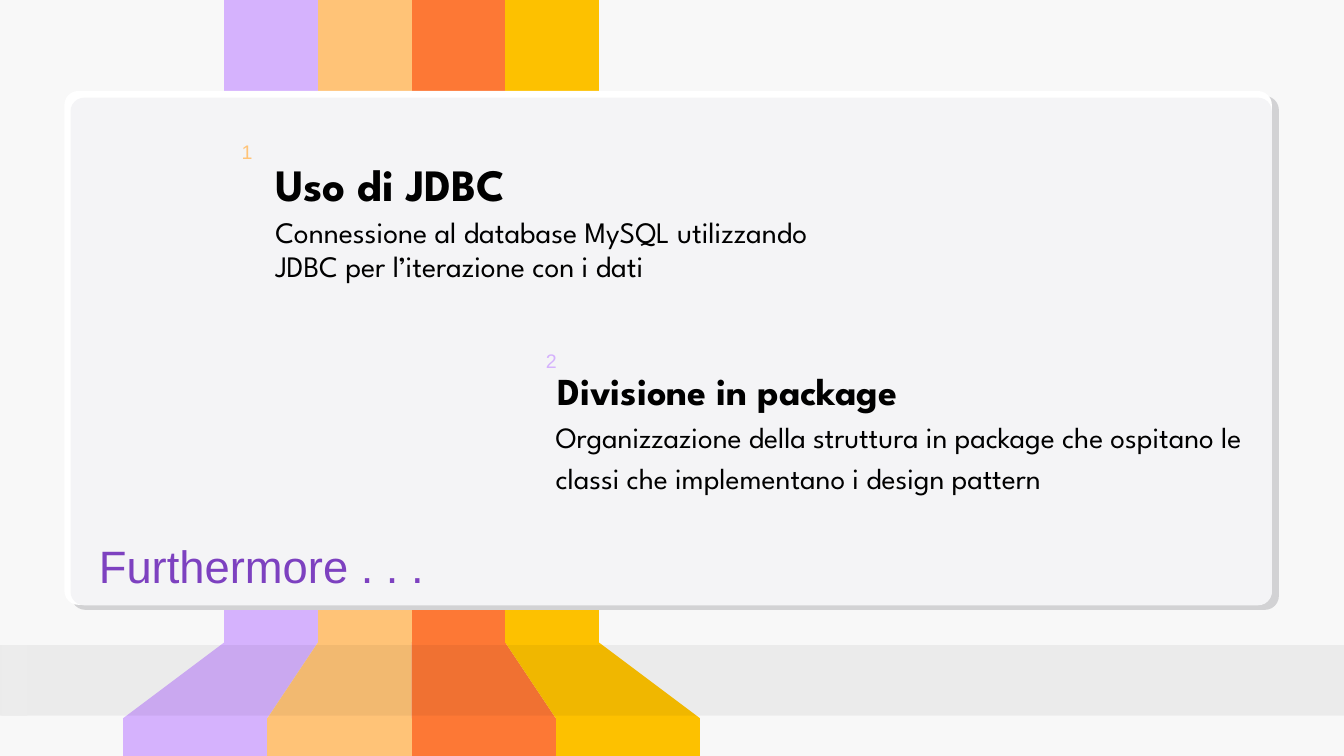
from dataclasses import dataclass
from itertools import pairwise

from lxml.etree import SubElement
from pptx import Presentation
from pptx.dml.color import RGBColor
from pptx.enum.shapes import MSO_SHAPE as Shape
from pptx.enum.text import MSO_ANCHOR as Anchor, MSO_AUTO_SIZE as Fit, PP_ALIGN as Align
from pptx.oxml.ns import qn
from pptx.util import Pt


@dataclass(frozen=True)
class Theme:
    back: str = "F8F8F8"
    ink: str = "000000"
    lilac: str = "D5B2FD"
    peach: str = "FFC377"
    orange: str = "FD7835"
    gold: str = "FDC100"
    shade: str = "D2D2D4"
    rim: str = "FFFFFF"
    card: str = "F4F4F6"
    patch: str = "ECECEC"
    violet: str = "7D41C0"
    plain: str = "Arial"
    spartan: str = "League Spartan"
    title: float = 32.4
    mark: float = 14


THEME = Theme()
WIDE, HIGH = 960, 540
PAD = 9.4


def paint(shape, color):
    shape.shadow.inherit = False
    shape.fill.solid()
    shape.fill.fore_color.rgb = RGBColor.from_string(color)
    shape.line.fill.background()


def block(slide, kind, box, color):
    shape = slide.shapes.add_shape(kind, *map(Pt, box))
    paint(shape, color)
    return shape


def write(shape, text, size, color, font, bold=False, align=Align.LEFT,
          pad=None, space=None, after=0):
    frame = shape.text_frame
    frame.word_wrap = True
    frame.auto_size = Fit.NONE
    if pad is not None:
        frame.margin_left = frame.margin_right = Pt(pad)
        frame.margin_top = frame.margin_bottom = Pt(pad)
    par = frame.paragraphs[0]
    par.alignment = align
    par.space_after = Pt(after)
    if space:
        par.line_spacing = space
    run = par.add_run()
    run.text = text
    run.font.size = Pt(size)
    run.font.name = font
    run.font.bold = bold
    run.font.color.rgb = RGBColor.from_string(color)


def ribbons(slide, box):
    """Draw four stripes that fan out near the foot of the box."""
    left, top, width, height = box
    strip, flare = 67, width / 4
    inset = (width - 4 * strip) / 2
    bend, foot = top + height - 81, top + height - 27
    for i, color in enumerate((THEME.lilac, THEME.peach, THEME.orange, THEME.gold)):
        slim = (left + inset + i * strip, strip)
        broad = (left + i * flare, flare)
        rows = [(top, slim), (bend, slim), (foot, broad), (top + height, broad)]
        for (y1, (x1, w1)), (y2, (x2, w2)) in pairwise(rows):
            if y1 == foot or y1 == top:
                x1, w1 = x2, w2
            path = slide.shapes.build_freeform(Pt(x1), Pt(y1))
            path.add_line_segments(
                [(Pt(x1 + w1), Pt(y1)), (Pt(x2 + w2), Pt(y2)), (Pt(x2), Pt(y2))])
            paint(path.convert_to_shape(), color)


def panel(slide, box):
    """Stack shade, rim and face of the raised card."""
    left, top, width, height = box
    for dx, dy, cut, color in ((5, 3.6, 0, THEME.shade), (0, 0, 0, THEME.rim),
                               (4.4, 4.8, 4.4, THEME.card)):
        face = block(slide, Shape.ROUNDED_RECTANGLE,
                     (left + dx, top + dy, width - cut, height - cut), color)
        face.adjustments[0] = 0.027


def floor(slide, box):
    left, top, width, height = box
    band = block(slide, Shape.RECTANGLE, box, THEME.ink)
    tint = band.fill._xPr.find(qn("a:solidFill"))[0]
    SubElement(tint, qn("a:alpha"), val="5000")
    block(slide, Shape.RECTANGLE, (left + 1, top, 18.5, height), THEME.patch)


def topic(slide, box, mark, head, text):
    """Place number, heading and text; each part is (words, shift, look)."""
    left, top = box
    for (dx, dy, width, height), words, look in (mark, head, text):
        area = slide.shapes.add_textbox(
            Pt(left + dx), Pt(top + dy), Pt(width), Pt(height))
        write(area, words, **look)


def heading(slide, box):
    title = slide.shapes.title
    title.left, title.top, title.width, title.height = map(Pt, box)
    title.text_frame.vertical_anchor = Anchor.MIDDLE
    write(title, "Furthermore . . .", THEME.title, THEME.violet, THEME.plain, pad=PAD)
    title.element.getparent().append(title.element)


def number(color):
    return dict(size=THEME.mark, color=color, font=THEME.plain, align=Align.CENTER)


def words(size, space, bold=False, after=0):
    return dict(size=size, color=THEME.ink, font=THEME.spartan, bold=bold,
                pad=PAD, space=space, after=after)


def main():
    deck = Presentation()
    deck.slide_width, deck.slide_height = Pt(WIDE), Pt(HIGH)
    slide = deck.slides.add_slide(deck.slide_layouts[5])
    slide.background.fill.solid()
    slide.background.fill.fore_color.rgb = RGBColor.from_string(THEME.back)

    ribbons(slide, (88, 0, 412, HIGH))
    panel(slide, (46, 65, 862.5, 367))
    floor(slide, (0, 460.8, WIDE, 50.4))
    topic(slide, (187.2, 113),
          ((-48.2, -16.5, 75, 98), "1", number(THEME.peach)),
          ((0, 0, 284.4, 48.2), "Uso di JDBC", words(32, 0.7, True)),
          ((0, 32.4, 447, 88),
           "Connessione al database MySQL utilizzando JDBC per l’iterazione con i dati",
           words(21.2, 0.95, after=16)))
    topic(slide, (388.8, 262),
          ((-36, -16.5, 82, 99.4), "2", number(THEME.lilac)),
          ((0, 0, 284.4, 48.2), "Divisione in package", words(27.2, 0.7, True)),
          ((-1.4, 24.5, 525.6, 88),
           "Organizzazione della struttura in package che ospitano le classi "
           "che implementano i design pattern",
           words(21, 1.15, after=16)))
    heading(slide, (61.2, 373, 309, 62))
    deck.save("out.pptx")


if __name__ == "__main__":
    main()
